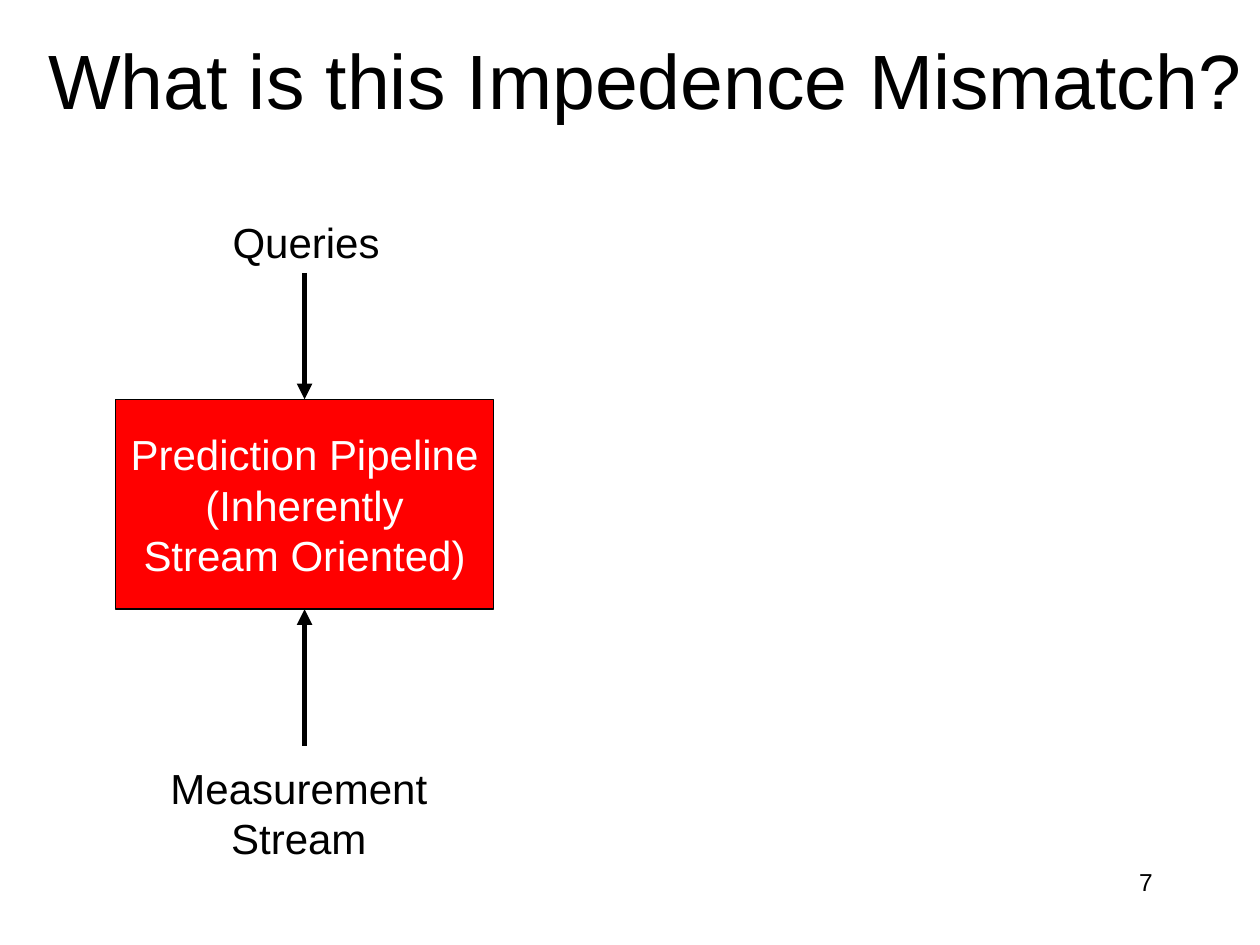
from dataclasses import dataclass

import pptx
import pptx.dml.color
import pptx.enum.shapes
import pptx.enum.text
import pptx.oxml
import pptx.oxml.ns
import pptx.util
from pptx.util import Cm

FONT = "Arial"
BLACK, WHITE, RED = "000000", "FFFFFF", "FF0000"
ALIGN = pptx.enum.text.PP_ALIGN
ANCHOR = pptx.enum.text.MSO_ANCHOR

FLOW_X = 6.14
PIPELINE_TOP, PIPELINE_BOTTOM = 8.05, 12.28
PIPELINE_WIDTH = 7.62


@dataclass(frozen=True)
class Label:
    lines: tuple[str, ...]
    left: float
    top: float
    width: float
    height: float
    size: int = 24
    align: ALIGN = ALIGN.CENTER
    anchor: ANCHOR = ANCHOR.TOP
    wrap: bool = True


@dataclass(frozen=True)
class Arrow:
    start_y: float
    end_y: float


def rgb(color: str) -> pptx.dml.color.RGBColor:
    return pptx.dml.color.RGBColor.from_string(color)


def write_text(shape, label: Label, color: str) -> None:
    frame = shape.text_frame
    frame.word_wrap = label.wrap
    frame.vertical_anchor = label.anchor
    frame.text = "\n".join(label.lines)
    for paragraph in frame.paragraphs:
        paragraph.alignment = label.align
        paragraph.font.name = FONT
        paragraph.font.size = pptx.util.Pt(label.size)
        paragraph.font.color.rgb = rgb(color)


def bounds(label: Label) -> tuple[Cm, Cm, Cm, Cm]:
    return Cm(label.left), Cm(label.top), Cm(label.width), Cm(label.height)


def draw_label(slide, label: Label) -> None:
    write_text(slide.shapes.add_textbox(*bounds(label)), label, BLACK)


def draw_pipeline(slide, label: Label) -> None:
    box = slide.shapes.add_shape(
        pptx.enum.shapes.MSO_SHAPE.RECTANGLE, *bounds(label)
    )
    box.shadow.inherit = False
    box.fill.solid()
    box.fill.fore_color.rgb = rgb(RED)
    box.line.color.rgb = rgb(BLACK)
    box.line.width = pptx.util.Pt(0.75)
    write_text(box, label, WHITE)


def draw_arrow(slide, arrow: Arrow) -> None:
    """Draw a vertical arrow on the flow axis, with its head at end_y."""
    connector = slide.shapes.add_connector(
        pptx.enum.shapes.MSO_CONNECTOR.STRAIGHT,
        Cm(FLOW_X), Cm(arrow.start_y), Cm(FLOW_X), Cm(arrow.end_y),
    )
    connector.line.color.rgb = rgb(BLACK)
    connector.line.width = pptx.util.Pt(3)
    namespace = pptx.oxml.ns.nsdecls("a")
    connector.line._get_or_add_ln().append(
        pptx.oxml.parse_xml(f'<a:tailEnd {namespace} type="triangle"/>')
    )
    connector._element.spPr.append(
        pptx.oxml.parse_xml(f"<a:effectLst {namespace}/>")
    )


TITLE = Label(("What is this Impedence Mismatch?",), 0.63, 0, 24.77, 3.18,
              size=44, anchor=ANCHOR.MIDDLE)
QUERIES = Label(("Queries",), 4.37, 4.23, 3.6, 1.27, wrap=False)
PIPELINE = Label(
    ("Prediction Pipeline", "(Inherently", "Stream Oriented)"),
    FLOW_X - PIPELINE_WIDTH / 2, PIPELINE_TOP,
    PIPELINE_WIDTH, PIPELINE_BOTTOM - PIPELINE_TOP,
    anchor=ANCHOR.MIDDLE, wrap=False,
)
MEASUREMENTS = Label(("Measurement", "Stream"), 2.75, 15.24, 6.55, 2.29)
PAGE_NUMBER = Label(("7",), 18.2, 17.36, 5.29, 1.27,
                    size=14, align=ALIGN.RIGHT)
ARROWS = (Arrow(5.5, PIPELINE_TOP), Arrow(15.03, PIPELINE_BOTTOM))


def main() -> None:
    presentation = pptx.Presentation()
    presentation.slide_width = Cm(25.4)
    presentation.slide_height = Cm(19.05)
    slide = presentation.slides.add_slide(presentation.slide_layouts[6])

    draw_label(slide, TITLE)
    draw_pipeline(slide, PIPELINE)
    for arrow in ARROWS:
        draw_arrow(slide, arrow)
    for label in (MEASUREMENTS, QUERIES, PAGE_NUMBER):
        draw_label(slide, label)

    presentation.save("out.pptx")


if __name__ == "__main__":
    main()
